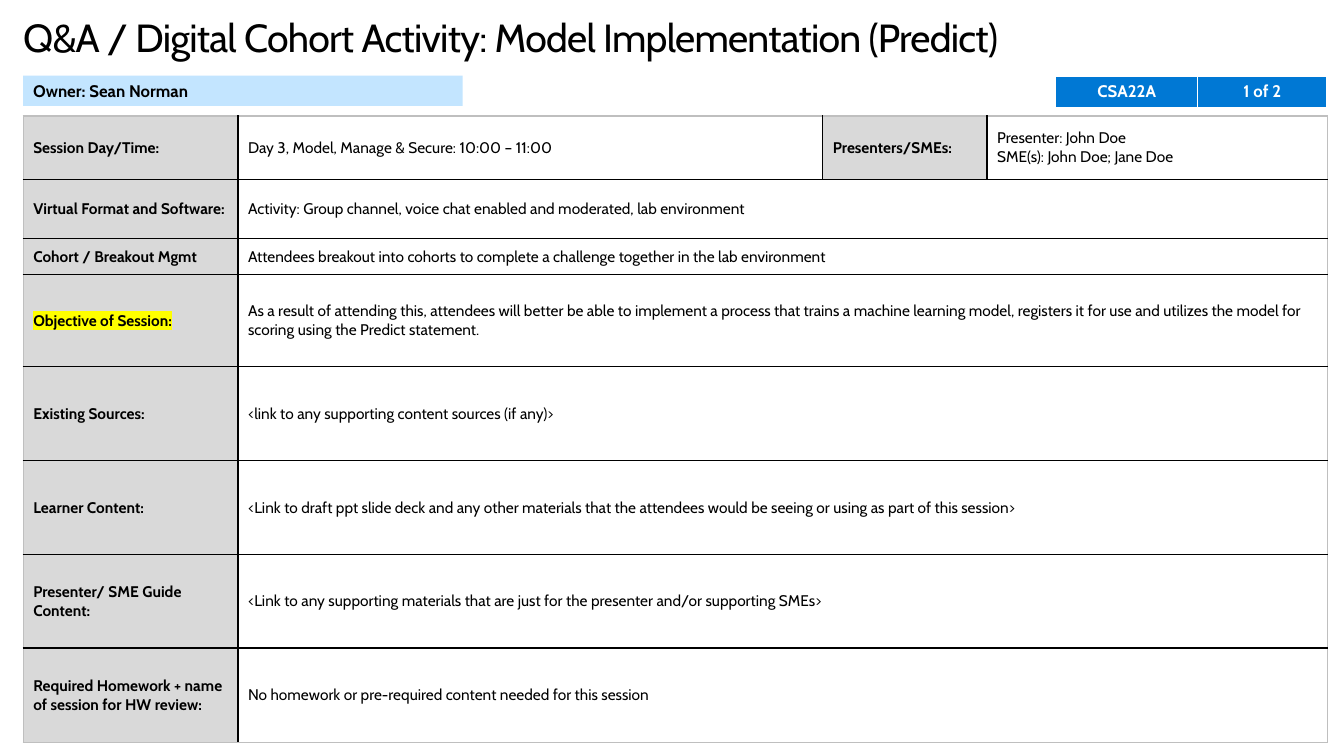
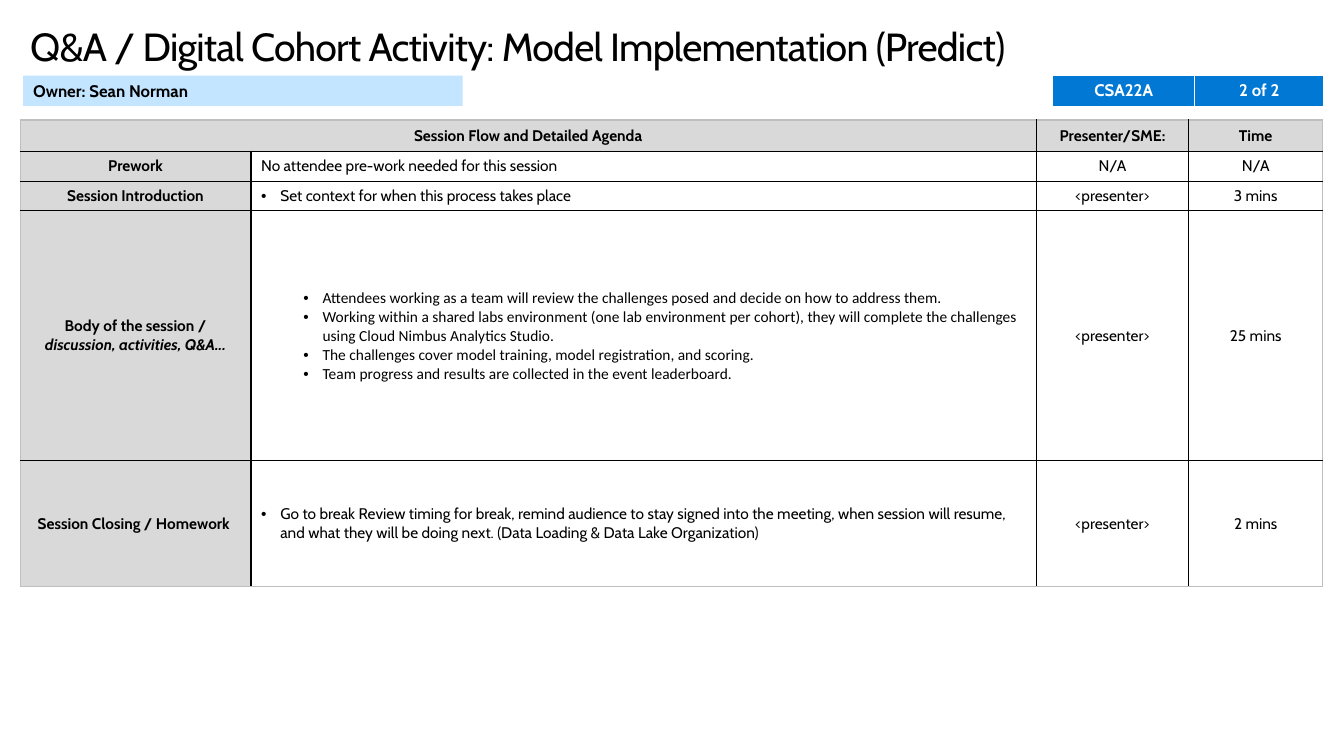
import pptx
import pptx.util
import pptx.dml.color
import pptx.enum.shapes
import pptx.enum.text
import pptx.oxml
import pptx.oxml.ns

Inches = pptx.util.Inches
Pt = pptx.util.Pt
ALIGN = pptx.enum.text.PP_ALIGN
MIDDLE = pptx.enum.text.MSO_ANCHOR.MIDDLE
NS = pptx.oxml.ns.nsdecls("a")

HUES = {
    "ink": "000000",
    "paper": "FFFFFF",
    "label": "D9D9D9",
    "edge": "BFBFBF",
    "owner": "C3E5FF",
    "badge": "0078D4",
    "mark": "FFFF00",
}
TITLE = "Q&A / Digital Cohort Activity: Model Implementation (Predict)"
CODE = "CSA22A"


def hue(name):
    """Return the named colour as an RGB value."""
    return pptx.dml.color.RGBColor.from_string(HUES[name])


def apply(item, values):
    """Set each attribute named in the dict."""
    for name, value in values.items():
        setattr(item, name, value)


def label(text, **more):
    """Describe a bold grey cell."""
    return {"text": text, "bold": True, "fill": "label", **more}


def note(text, **more):
    """Describe a plain white cell."""
    return {"text": text, **more}


def mid(kind, text, **more):
    """Describe a centred cell of the given kind."""
    return kind(text, align=ALIGN.CENTER, **more)


class Deck:
    """Holds the shared style and the current slide."""

    def __init__(self):
        """Start an empty widescreen deck."""
        self.show = pptx.Presentation()
        apply(self.show, {"slide_width": Inches(13.33), "slide_height": Inches(7.5)})
        self.slide = None

    def page(self, left, top):
        """Add a slide with its title and owner band."""
        self.slide = self.show.slides.add_slide(self.show.slide_layouts[5])
        head = self.slide.shapes.title
        apply(head, {"left": Inches(left), "top": Inches(top),
                     "width": Inches(12.8), "height": Inches(0.47)})
        frame = head.text_frame
        apply(frame, {"margin_left": 0, "margin_right": 0, "margin_top": 0,
                      "margin_bottom": 0, "word_wrap": True,
                      "auto_size": pptx.enum.text.MSO_AUTO_SIZE.NONE,
                      "vertical_anchor": MIDDLE})
        self.words(frame, TITLE, size=28)
        frame.paragraphs[0].runs[0].font._element.set("spc", "-50")
        self.band("Owner: Sean Norman")

    def words(self, frame, text, size=11, bold=False, color="ink", align=ALIGN.LEFT,
              font="Cabin", dent=0, slant=False, mark=None):
        """Fill a text frame, one paragraph a line."""
        frame.text = text
        for para in frame.paragraphs:
            para.alignment = align
            if dent:
                self.bullet(para, dent)
            for run in para.runs:
                apply(run.font, {"name": font, "size": Pt(size), "bold": bold})
                run.font.color.rgb = hue(color)
                if mark:
                    self.mark(run, mark)
            if slant:
                para.runs[-1].font.italic = True

    def bullet(self, para, dent):
        """Give a paragraph a hanging bullet."""
        props = para._p.get_or_add_pPr()
        props.set("marL", str(Inches(dent)))
        props.set("indent", str(-Inches(0.19)))
        props.append(pptx.oxml.parse_xml(f'<a:buFont {NS} typeface="Arial"/>'))
        props.append(pptx.oxml.parse_xml(f'<a:buChar {NS} char="•"/>'))

    def mark(self, run, name):
        """Highlight a run."""
        fill = run.font._element.find(pptx.oxml.ns.qn("a:solidFill"))
        fill.addnext(pptx.oxml.parse_xml(
            f'<a:highlight {NS}><a:srgbClr val="{HUES[name]}"/></a:highlight>'))

    def band(self, text):
        """Draw the owner band."""
        rect = self.slide.shapes.add_shape(
            pptx.enum.shapes.MSO_SHAPE.RECTANGLE,
            Inches(0.23), Inches(0.75), Inches(4.36), Inches(0.3))
        rect.shadow.inherit = False
        rect.fill.solid()
        rect.fill.fore_color.rgb = hue("owner")
        rect.line.fill.background()
        apply(rect.text_frame, {"word_wrap": True, "vertical_anchor": MIDDLE})
        self.words(rect.text_frame, text, size=12, bold=True)

    def badge(self, left, top, text):
        """Draw the session code and page count."""
        cells = [{"text": part, "size": 12, "bold": True, "color": "paper",
                  "align": ALIGN.CENTER, "fill": "badge"} for part in (CODE, text)]
        self.grid(left, top, [1.41, 1.28], [0.3], [cells], "paper", "paper")

    def grid(self, left, top, cols, rows, cells, line="ink", edge="edge"):
        """Draw a table; None joins a cell to the one on its left."""
        table = self.slide.shapes.add_table(
            len(rows), len(cols), Inches(left), Inches(top),
            Inches(sum(cols)), Inches(sum(rows))).table
        apply(table, {"first_row": False, "horz_banding": False})
        for col, width in zip(table.columns, cols):
            col.width = Inches(width)
        for row, height in zip(table.rows, rows):
            row.height = Inches(height)
        for y, items in enumerate(cells):
            for x, item in enumerate(items):
                if item is None:
                    continue
                end = x + 1
                while end < len(cols) and items[end] is None:
                    end += 1
                cell = table.cell(y, x)
                if end > x + 1:
                    cell.merge(table.cell(y, end - 1))
                outer = {"L": x == 0, "R": end == len(cols),
                         "T": y == 0, "B": y == len(rows) - 1}
                for spot in range(x, end):
                    self.rule(table.cell(y, spot), outer, line, edge)
                self.fill(cell, **item)

    def fill(self, cell, fill="paper", pad=None, **style):
        """Colour a cell and set its text."""
        cell.fill.solid()
        cell.fill.fore_color.rgb = hue(fill)
        cell.vertical_anchor = MIDDLE
        if pad is not None:
            apply(cell, {"margin_left": Inches(pad), "margin_right": Inches(pad),
                         "margin_top": Inches(pad), "margin_bottom": 0})
        self.words(cell.text_frame, **style)

    def rule(self, cell, outer, line, edge):
        """Draw the four borders of a cell."""
        props = cell._tc.get_or_add_tcPr()
        for rank, (side, out) in enumerate(outer.items()):
            tone = HUES[edge if out else line]
            props.insert(rank, pptx.oxml.parse_xml(
                f'<a:ln{side} {NS} w="{Pt(1)}"><a:solidFill>'
                f'<a:srgbClr val="{tone}"/></a:solidFill></a:ln{side}>'))


def brief(deck):
    """Build the session overview."""
    deck.page(0.23, 0.13)
    pairs = [
        (label("Virtual Format and Software:"),
         "Activity: Group channel, voice chat enabled and moderated, lab environment"),
        (label("Cohort / Breakout Mgmt"),
         "Attendees breakout into cohorts to complete a challenge together in the lab environment"),
        (label("Objective of Session:", mark="mark"),
         "As a result of attending this, attendees will better be able to implement a process "
         "that trains a machine learning model, registers it for use and utilizes the model "
         "for scoring using the Predict statement."),
        (label("Existing Sources:"),
         "<link to any supporting content sources (if any)>"),
        (label("Learner Content:"),
         "<Link to draft ppt slide deck and any other materials that the attendees would be "
         "seeing or using as part of this session>"),
        (label("Presenter/ SME Guide Content:"),
         "<Link to any supporting materials that are just for the presenter and/or "
         "supporting SMEs>"),
        (label("Required Homework + name of session for HW review:"),
         "No homework or pre-required content needed for this session"),
    ]
    first = [label("Session Day/Time:"),
             note("Day 3, Model, Manage & Secure: 10:00 – 11:00"),
             label("Presenters/SMEs:"),
             note("Presenter: John Doe\nSME(s): John Doe; Jane Doe")]
    cells = [first] + [[head, note(text), None, None] for head, text in pairs]
    deck.grid(0.23, 1.15, [2.13, 5.8, 1.63, 3.38],
              [0.63, 0.59, 0.35, 0.92] + [0.93] * 3 + [0.94], cells)
    deck.badge(10.47, 0.76, "1 of 2")


def agenda(deck):
    """Build the session agenda."""
    deck.page(0.3, 0.22)
    steps = [
        (mid(label, "Prework"),
         note("No attendee pre-work needed for this session"), "N/A", "N/A"),
        (mid(label, "Session Introduction"),
         note("Set context for when this process takes place", dent=0.19),
         "<presenter>", "3 mins"),
        (mid(label, "Body of the session /\vdiscussion, activities, Q&A...", slant=True),
         note("Attendees working as a team will review the challenges posed and decide on "
              "how to address them.\n"
              "Working within a shared labs environment (one lab environment per cohort), "
              "they will complete the challenges using Cloud Nimbus Analytics Studio.\n"
              "The challenges cover model training, model registration, and scoring.\n"
              "Team progress and results are collected in the event leaderboard.",
              font="Calibri", dent=0.7, pad=0.01),
         "<presenter>", "25 mins"),
        (mid(label, "Session Closing / Homework "),
         note("Go to break Review timing for break, remind audience to stay signed into the "
              "meeting, when session will resume, and what they will be doing next. "
              "(Data Loading & Data Lake Organization)", dent=0.19),
         "<presenter>", "2 mins"),
    ]
    first = [mid(label, "Session Flow and Detailed Agenda"), None,
             mid(label, "Presenter/SME:"), mid(label, "Time")]
    cells = [first] + [[head, body, mid(note, who), mid(note, time)]
                       for head, body, who, time in steps]
    deck.grid(0.2, 1.19, [2.29, 7.79, 1.51, 1.33], [0.31, 0.3, 0.29, 2.48, 1.25], cells)
    deck.badge(10.44, 0.75, "2 of 2")


def main():
    """Build and save the deck."""
    deck = Deck()
    brief(deck)
    agenda(deck)
    deck.show.save("out.pptx")


if __name__ == "__main__":
    main()
